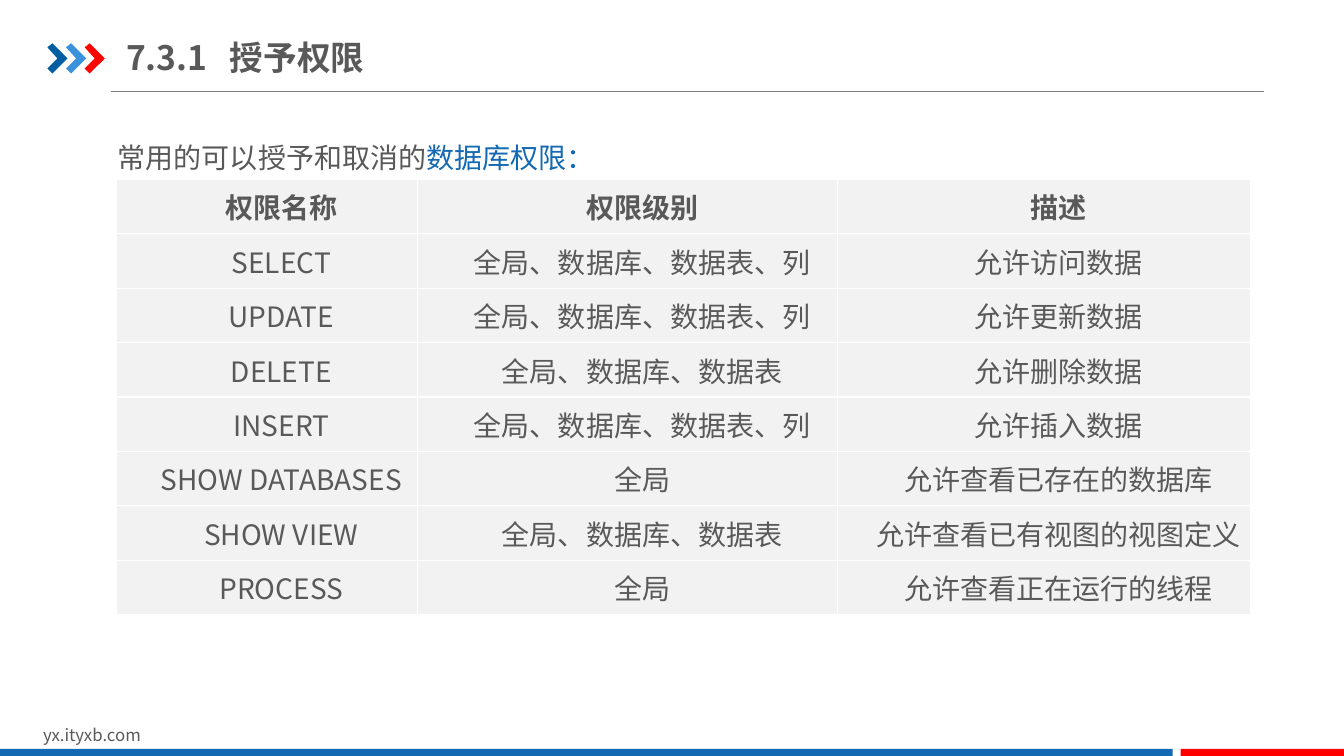
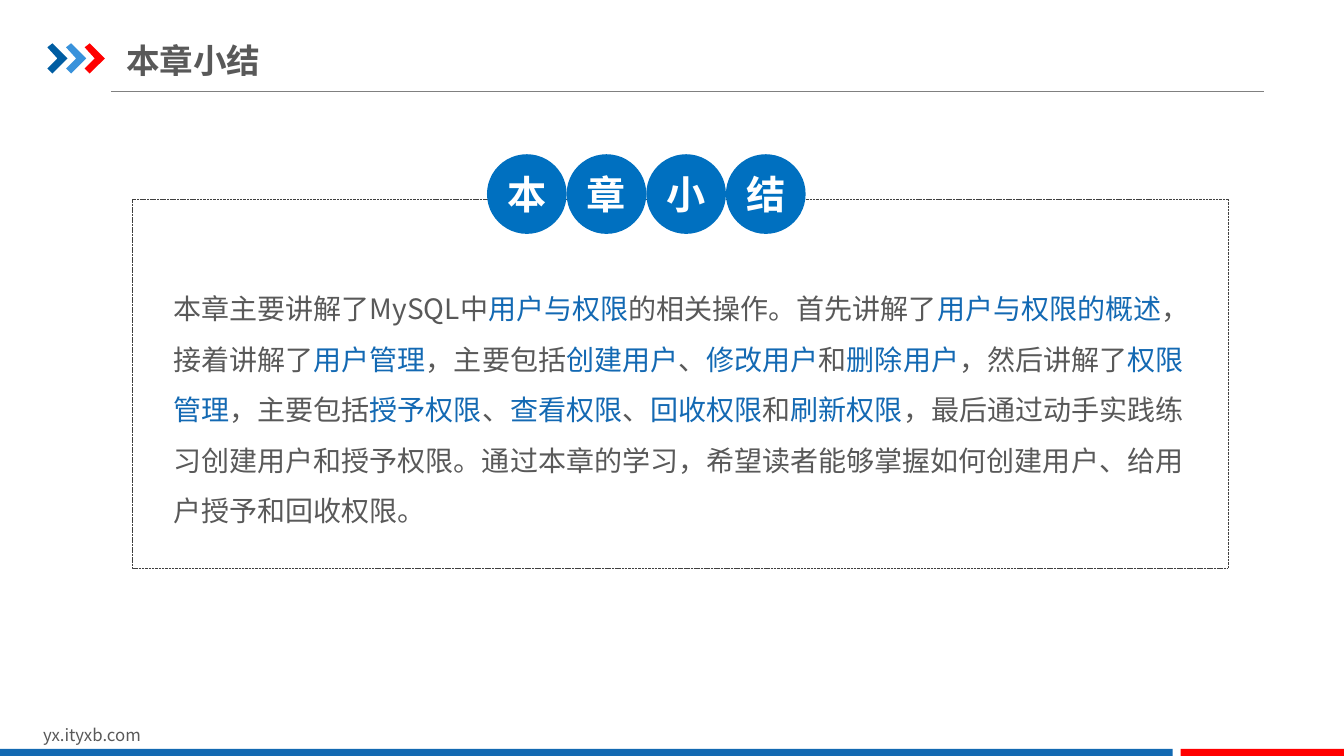
from pptx import Presentation
from pptx.dml.color import RGBColor
from pptx.enum.dml import MSO_LINE
from pptx.enum.shapes import MSO_CONNECTOR, MSO_SHAPE
from pptx.enum.text import MSO_ANCHOR, MSO_AUTO_SIZE, PP_ALIGN
from pptx.oxml.ns import qn
from pptx.util import Inches, Pt
from lxml.etree import SubElement

FONT = "Noto Sans CJK SC"
WHITE = RGBColor(0xFF, 0xFF, 0xFF)
GRAY = RGBColor(0x59, 0x59, 0x59)
RULE_GRAY = RGBColor(0x80, 0x80, 0x80)
FRAME_GRAY = RGBColor(0x40, 0x40, 0x40)
CELL_GRAY = RGBColor(0xF2, 0xF2, 0xF2)
BAND_BLUE = RGBColor(0x13, 0x69, 0xB2)
ACCENT_BLUE = RGBColor(0x13, 0x69, 0xB3)
BADGE_BLUE = RGBColor(0x00, 0x70, 0xC0)
DARK_BLUE = RGBColor(0x00, 0x5D, 0xA2)
LIGHT_BLUE = RGBColor(0x39, 0x92, 0xDB)
RED = RGBColor(0xFF, 0x00, 0x00)

TITLE_FORMAT = {
    "vertical_anchor": MSO_ANCHOR.MIDDLE,
    "auto_size": MSO_AUTO_SIZE.NONE,
    "word_wrap": True,
    "margin_left": 0,
    "margin_right": 0,
    "margin_top": Inches(0.07),
    "margin_bottom": Inches(0.07),
}
NO_MARGINS = {
    "margin_left": 0,
    "margin_right": 0,
    "margin_top": 0,
    "margin_bottom": 0,
}
CELL_FORMAT = {
    "vertical_anchor": MSO_ANCHOR.MIDDLE,
    "margin_left": Inches(0.07),
    "margin_right": Inches(0.07),
    "margin_top": 0,
    "margin_bottom": 0,
}
BADGE_FORMAT = {
    **NO_MARGINS,
    "vertical_anchor": MSO_ANCHOR.MIDDLE,
    "word_wrap": False,
}

CHEVRON = [(0, 0.04), (0.05, 0), (0.2, 0.15), (0.05, 0.3), (0, 0.25), (0.1, 0.15)]
COLUMN_WIDTHS = [2.99, 4.17, 4.09]
PRIVILEGES = [
    ("权限名称", "权限级别", "描述"),
    ("SELECT", "全局、数据库、数据表、列", "允许访问数据"),
    ("UPDATE", "全局、数据库、数据表、列", "允许更新数据"),
    ("DELETE", "全局、数据库、数据表", "允许删除数据"),
    ("INSERT", "全局、数据库、数据表、列", "允许插入数据"),
    ("SHOW DATABASES", "全局", "允许查看已存在的数据库"),
    ("SHOW VIEW", "全局、数据库、数据表", "允许查看已有视图的视图定义"),
    ("PROCESS", "全局", "允许查看正在运行的线程"),
]
SUMMARY = (
    "本章主要讲解了MySQL中*用户与权限*的相关操作。首先讲解了*用户与权限的概述*，"
    "接着讲解了*用户管理*，主要包括*创建用户*、*修改用户*和*删除用户*，"
    "然后讲解了*权限管理*，主要包括*授予权限*、*查看权限*、*回收权限*和*刷新权限*，"
    "最后通过动手实践练习创建用户和授予权限。通过本章的学习，"
    "希望读者能够掌握如何创建用户、给用户授予和回收权限。"
)


def apply_format(target, values):
    for name, value in values.items():
        setattr(target, name, value)


def add_run(paragraph, text, size, color=GRAY, bold=False):
    run = paragraph.add_run()
    run.text = text
    apply_format(run.font, {"name": FONT, "size": Pt(size), "bold": bold})
    run.font.color.rgb = color
    SubElement(run.font._element, qn("a:ea"), typeface=FONT)


def add_marked_text(paragraph, text, size):
    for index, part in enumerate(text.split("*")):
        if part:
            add_run(paragraph, part, size, ACCENT_BLUE if index % 2 else GRAY)


def add_text(slide, left, top, width, height, text, size, spacing=1.0, margins=None):
    box = slide.shapes.add_textbox(
        Inches(left), Inches(top), Inches(width), Inches(height)
    )
    apply_format(box.text_frame, {"word_wrap": True, **(margins or {})})
    paragraph = box.text_frame.paragraphs[0]
    paragraph.line_spacing = spacing
    add_marked_text(paragraph, text, size)


def paint(shape, color):
    shape.shadow.inherit = False
    shape.fill.solid()
    shape.fill.fore_color.rgb = color
    shape.line.fill.background()


def add_filled(slide, preset, left, top, width, height, color):
    shape = slide.shapes.add_shape(
        preset, Inches(left), Inches(top), Inches(width), Inches(height)
    )
    paint(shape, color)
    return shape


def add_chevron(slide, left, top, color):
    points = [(Inches(left + x), Inches(top + y)) for x, y in CHEVRON]
    builder = slide.shapes.build_freeform(*points[0])
    builder.add_line_segments(points[1:], close=True)
    paint(builder.convert_to_shape(), color)


def add_title_rule(slide):
    rule = slide.shapes.add_connector(
        MSO_CONNECTOR.STRAIGHT, Inches(1.1), Inches(0.91), Inches(12.54), Inches(0.91)
    )
    rule.line.color.rgb = RULE_GRAY
    rule.line.width = Pt(0.75)
    SubElement(rule._element.spPr, qn("a:effectLst"))


def add_title(slide, text, top, width, height, tab=None):
    title = slide.shapes.title
    apply_format(title, {
        "left": Inches(1.25),
        "top": Inches(top),
        "width": Inches(width),
        "height": Inches(height),
    })
    apply_format(title.text_frame, TITLE_FORMAT)
    paragraph = title.text_frame.paragraphs[0]
    paragraph.alignment = PP_ALIGN.LEFT
    if tab:
        stops = SubElement(paragraph._p.get_or_add_pPr(), qn("a:tabLst"))
        SubElement(stops, qn("a:tab"), pos=str(Inches(tab)), algn="l")
    add_run(paragraph, text, 24, bold=True)


def new_slide(deck):
    slide = deck.slides.add_slide(deck.slide_layouts[5])
    add_title_rule(slide)
    for index, color in enumerate((DARK_BLUE, LIGHT_BLUE, RED)):
        add_chevron(slide, 0.47 + 0.185 * index, 0.43, color)
    add_text(slide, 0.33, 7.14, 3.18, 0.3, "yx.ityxb.com", 12)
    for left, width, color in ((0, 11.63, BAND_BLUE), (11.71, 1.62, RED)):
        add_filled(slide, MSO_SHAPE.RECTANGLE, left, 7.43, width, 0.07, color)
    return slide


def add_borders(cell, color, width):
    properties = cell._tc.get_or_add_tcPr()
    for index, side in enumerate(("lnL", "lnR", "lnT", "lnB")):
        border = SubElement(properties, qn(f"a:{side}"), w=str(Pt(width)))
        fill = SubElement(border, qn("a:solidFill"))
        SubElement(fill, qn("a:srgbClr"), val=str(color))
        properties.insert(index, border)


def fill_cell(cell, text, bold):
    apply_format(cell, CELL_FORMAT)
    cell.fill.solid()
    cell.fill.fore_color.rgb = CELL_GRAY
    add_borders(cell, WHITE, 1)
    paragraph = cell.text_frame.paragraphs[0]
    paragraph.alignment = PP_ALIGN.CENTER
    apply_indent = paragraph._p.get_or_add_pPr().set
    apply_indent("marL", "0")
    apply_indent("indent", str(Inches(0.29)))
    add_run(paragraph, text, 20, bold=bold)


def add_privilege_table(slide):
    row_height = 0.54
    table = slide.shapes.add_table(
        len(PRIVILEGES), len(COLUMN_WIDTHS), Inches(1.15), Inches(1.78),
        Inches(sum(COLUMN_WIDTHS)), Inches(row_height * len(PRIVILEGES)),
    ).table
    apply_format(table, {"first_row": False, "horz_banding": False})
    for column, width in zip(table.columns, COLUMN_WIDTHS):
        column.width = Inches(width)
    for row_index, (row, texts) in enumerate(zip(table.rows, PRIVILEGES)):
        row.height = Inches(row_height)
        for cell, text in zip(row.cells, texts):
            fill_cell(cell, text, bold=row_index == 0)


def add_summary_frame(slide):
    frame = slide.shapes.add_shape(
        MSO_SHAPE.RECTANGLE, Inches(1.31), Inches(1.98), Inches(10.87), Inches(3.66)
    )
    frame.shadow.inherit = False
    frame.fill.background()
    frame.line.color.rgb = FRAME_GRAY
    apply_format(frame.line, {"width": Pt(0.25), "dash_style": MSO_LINE.SQUARE_DOT})


def add_badges(slide, characters):
    diameter = 0.79
    for index, character in enumerate(characters):
        badge = add_filled(
            slide, MSO_SHAPE.OVAL, 4.83 + diameter * index, 1.53,
            diameter, diameter, BADGE_BLUE,
        )
        apply_format(badge.text_frame, BADGE_FORMAT)
        paragraph = badge.text_frame.paragraphs[0]
        paragraph.alignment = PP_ALIGN.CENTER
        add_run(paragraph, character, 28, WHITE, bold=True)


def build_privileges_slide(deck):
    slide = new_slide(deck)
    add_title(slide, "7.3.1\t授予权限", 0.29, 5.73, 0.55, tab=1.03)
    add_text(
        slide, 1.07, 1.18, 11.73, 0.61,
        "常用的可以授予和取消的*数据库权限：*", 20, spacing=1.5,
    )
    add_privilege_table(slide)


def build_summary_slide(deck):
    slide = new_slide(deck)
    add_title(slide, "本章小结", 0.36, 5.26, 0.48)
    add_summary_frame(slide)
    add_text(
        slide, 1.72, 2.73, 10.06, 2.46, SUMMARY, 20, spacing=1.5, margins=NO_MARGINS
    )
    add_badges(slide, "本章小结")


def main():
    deck = Presentation()
    apply_format(deck, {"slide_width": Inches(13.33), "slide_height": Inches(7.5)})
    build_privileges_slide(deck)
    build_summary_slide(deck)
    deck.save("out.pptx")


if __name__ == "__main__":
    main()
